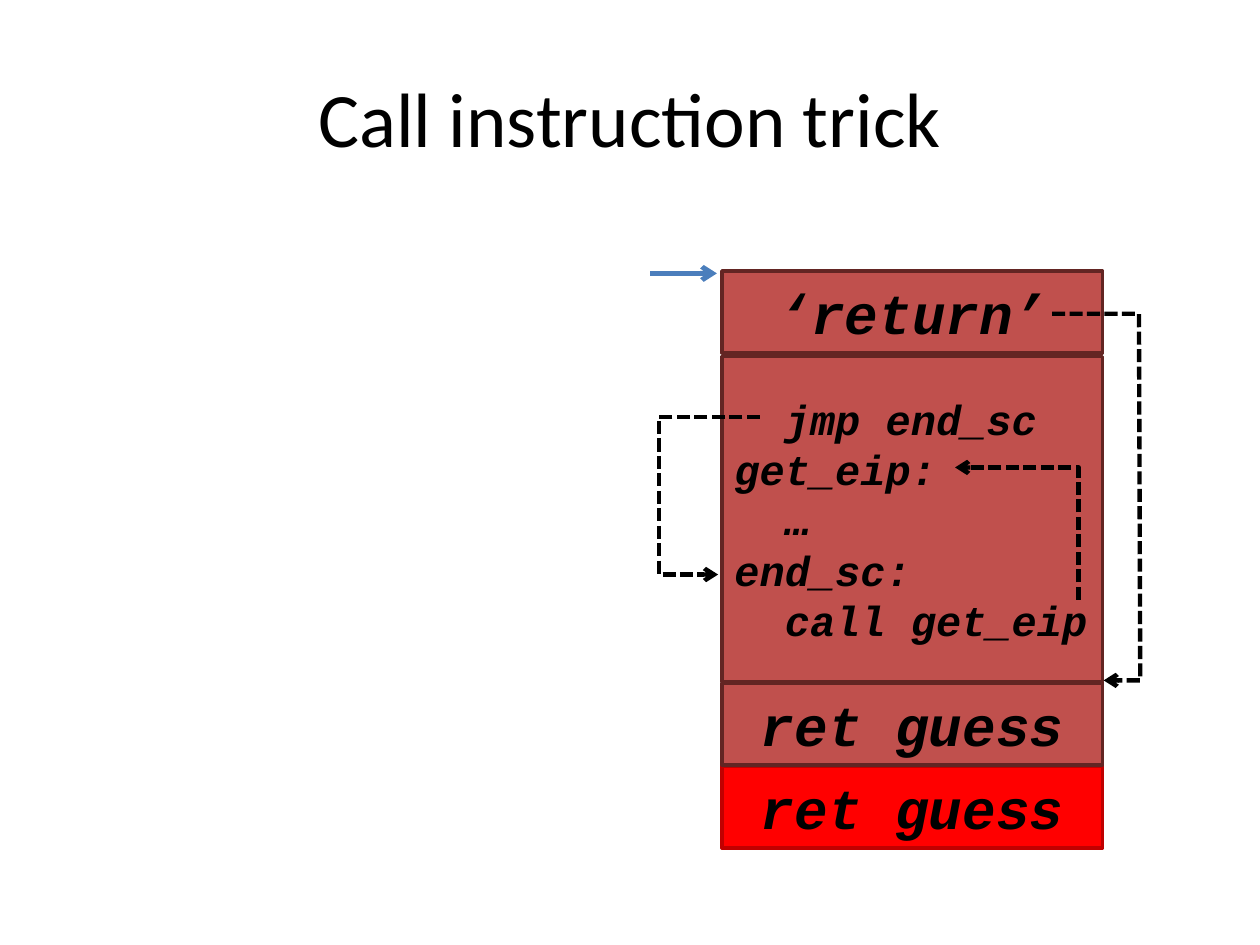
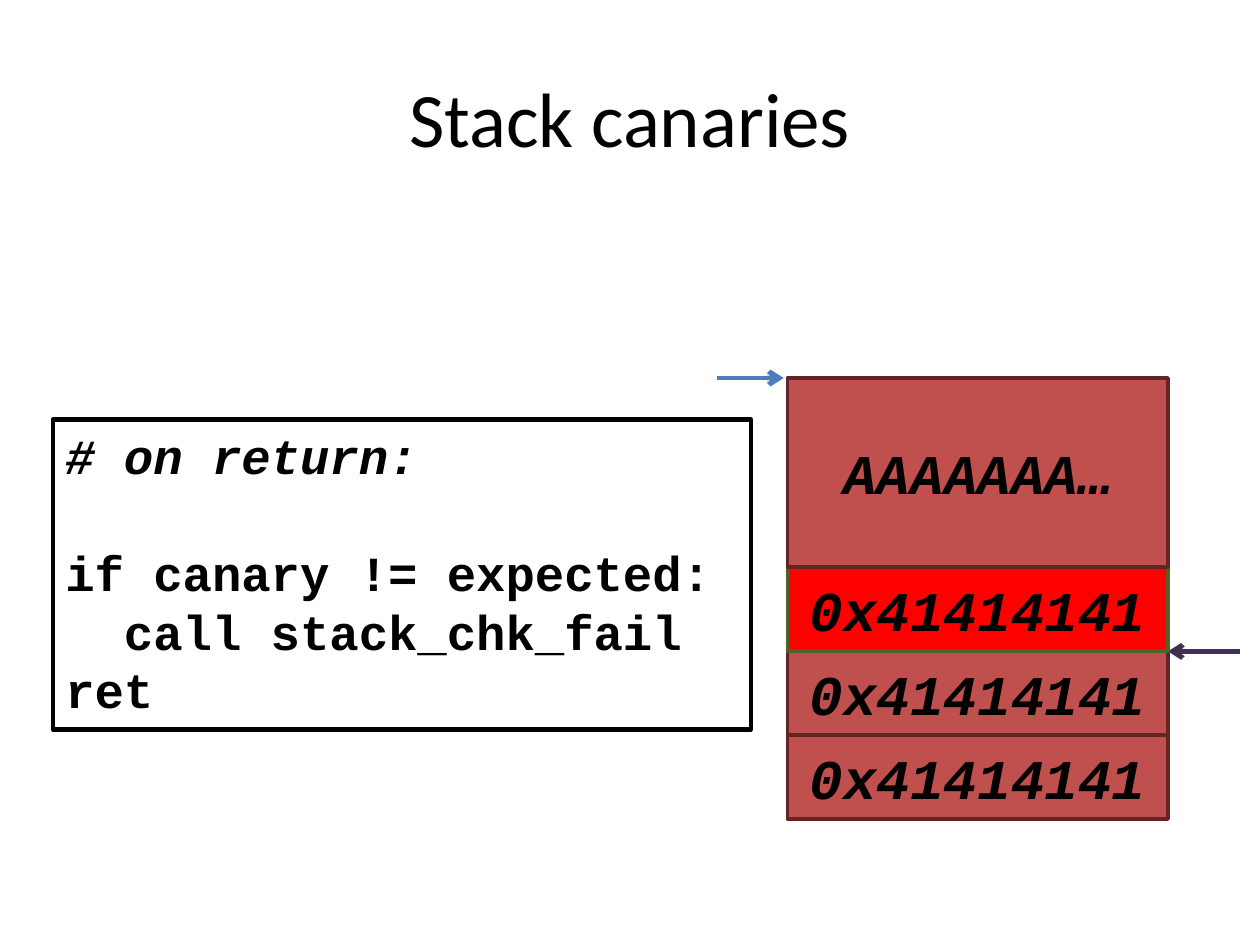
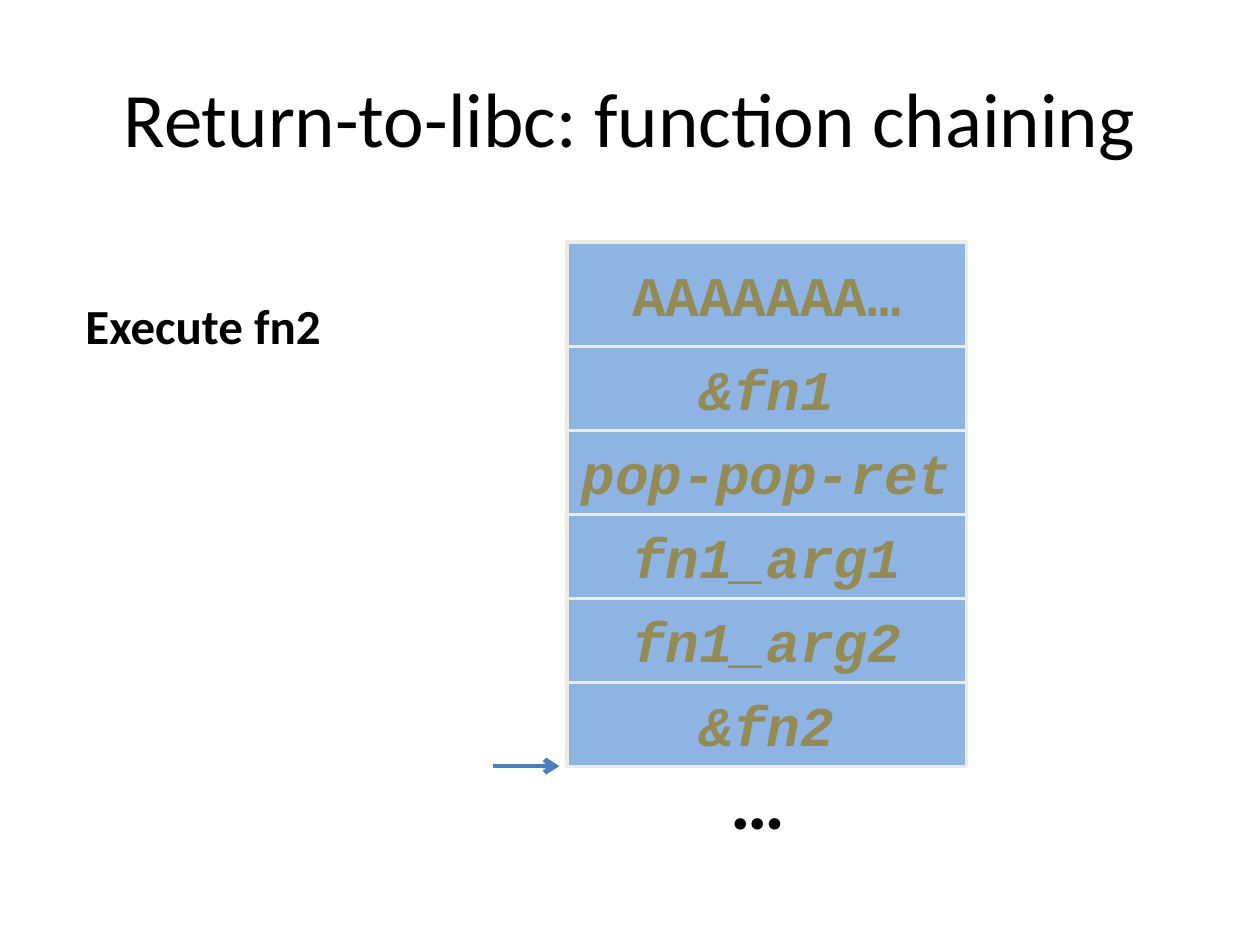
import dataclasses

import lxml.etree
import pptx
import pptx.dml.color
import pptx.enum.dml
import pptx.enum.shapes
import pptx.enum.text
import pptx.oxml.ns
import pptx.presentation
import pptx.slide
import pptx.text.text
import pptx.util

Inches = pptx.util.Inches
ALIGN = pptx.enum.text.PP_ALIGN
ANCHOR = pptx.enum.text.MSO_ANCHOR

# Shared look
BODY_FONT = "Calibri"
CODE_FONT = "Courier New"
BLACK = "000000"
WHITE = "FFFFFF"
POINTER_BLUE = "4B7EBC"
POINTER_PURPLE = "403152"
ROW = 2 / 3  # height of one stack word, in inches


@dataclasses.dataclass(frozen=True)
class Palette:
    fill: str
    line: str
    text: str = BLACK


OVERWRITTEN = Palette("C0504D", "632523")
RETURN_ADDRESS = Palette("FF0000", "C00000")
CANARY = Palette("FF0000", "4F6228")
CHAINED = Palette("8EB4E3", "EEECE1", "948A54")


@dataclasses.dataclass(frozen=True)
class TextStyle:
    size: float
    font: str = BODY_FONT
    color: str = BLACK
    bold: bool = True
    italic: bool = False
    align: ALIGN = ALIGN.LEFT
    anchor: ANCHOR = ANCHOR.TOP
    wrap: bool = True


TITLE = TextStyle(44, bold=False, align=ALIGN.CENTER, anchor=ANCHOR.MIDDLE)
ELLIPSIS = TextStyle(44, wrap=False)
CAPTION = TextStyle(28)
LISTING = TextStyle(28, CODE_FONT)
STACK_WORD = TextStyle(32, CODE_FONT, italic=True, align=ALIGN.CENTER,
                       anchor=ANCHOR.MIDDLE)
SHELLCODE = dataclasses.replace(STACK_WORD, size=24, align=ALIGN.LEFT)


@dataclasses.dataclass(frozen=True)
class Box:
    left: float
    top: float
    width: float
    height: float

    def lengths(self) -> list[pptx.util.Length]:
        return [Inches(value) for value in dataclasses.astuple(self)]


@dataclasses.dataclass(frozen=True)
class Cell:
    text: str
    top: float
    height: float
    palette: Palette
    style: TextStyle = STACK_WORD


@dataclasses.dataclass(frozen=True)
class Pointer:
    start: float
    end: float
    y: float
    color: str = POINTER_BLUE


def rgb(color: str) -> pptx.dml.color.RGBColor:
    return pptx.dml.color.RGBColor.from_string(color)


def write_text(frame: pptx.text.text.TextFrame, text: str, style: TextStyle) -> None:
    frame.text = text
    frame.word_wrap = style.wrap
    frame.vertical_anchor = style.anchor
    for paragraph in frame.paragraphs:
        paragraph.alignment = style.align
        for run in paragraph.runs:
            run.font.name = style.font
            run.font.size = pptx.util.Pt(style.size)
            run.font.bold = style.bold
            run.font.italic = style.italic
            run.font.color.rgb = rgb(style.color)


def add_text(slide: pptx.slide.Slide, text: str, box: Box, style: TextStyle) -> None:
    write_text(slide.shapes.add_textbox(*box.lengths()).text_frame, text, style)


def add_box(slide: pptx.slide.Slide, text: str, box: Box, palette: Palette,
            style: TextStyle, line_width: float = 2) -> pptx.text.text.TextFrame:
    shape = slide.shapes.add_shape(
        pptx.enum.shapes.MSO_SHAPE.RECTANGLE, *box.lengths())
    shape.shadow.inherit = False
    shape.fill.solid()
    shape.fill.fore_color.rgb = rgb(palette.fill)
    shape.line.color.rgb = rgb(palette.line)
    shape.line.width = pptx.util.Pt(line_width)
    write_text(shape.text_frame, text,
               dataclasses.replace(style, color=palette.text))
    return shape.text_frame


def add_stack(slide: pptx.slide.Slide, left: float, width: float,
              cells: list[Cell]) -> None:
    """Draw from the bottom up, so each upper border lies on top."""
    for cell in reversed(cells):
        add_box(slide, cell.text, Box(left, cell.top, width, cell.height),
                cell.palette, cell.style)


def style_arrow(shape, color: str, width: float) -> None:
    shape.line.color.rgb = rgb(color)
    shape.line.width = pptx.util.Pt(width)
    line = shape.line._get_or_add_ln()
    lxml.etree.SubElement(line, pptx.oxml.ns.qn("a:tailEnd"), type="arrow")


def add_pointer(slide: pptx.slide.Slide, pointer: Pointer) -> None:
    y = Inches(pointer.y)
    connector = slide.shapes.add_connector(
        pptx.enum.shapes.MSO_CONNECTOR.STRAIGHT,
        Inches(pointer.start), y, Inches(pointer.end), y)
    style_arrow(connector, pointer.color, 2.75)
    lxml.etree.SubElement(connector._element.spPr, pptx.oxml.ns.qn("a:effectLst"))


def add_jump(slide: pptx.slide.Slide, points: list[tuple[float, float]]) -> None:
    """Draw a dashed control-flow arrow through the points."""
    corners = [(Inches(x), Inches(y)) for x, y in points]
    builder = slide.shapes.build_freeform(*corners[0])
    builder.add_line_segments(corners[1:], close=False)
    shape = builder.convert_to_shape()
    shape.shadow.inherit = False
    shape.fill.background()
    shape.line.dash_style = pptx.enum.dml.MSO_LINE.SQUARE_DOT
    style_arrow(shape, BLACK, 2.5)


def add_slide(presentation: pptx.presentation.Presentation,
              title: str) -> pptx.slide.Slide:
    slide = presentation.slides.add_slide(presentation.slide_layouts[6])
    add_text(slide, title, Box(0.5, 0.3, 9, 1.25), TITLE)
    return slide


def build_call_trick(presentation: pptx.presentation.Presentation) -> None:
    slide = add_slide(presentation, "Call instruction trick")
    shellcode = "\n".join([
        "  jmp end_sc",
        "get_eip:",
        "  …",
        "end_sc:",
        "  call get_eip",
    ])
    add_stack(slide, 5.73, 3.02, [
        Cell("‘return’", 2.15, 0.65, OVERWRITTEN),
        Cell(shellcode, 2.83, 2.58, OVERWRITTEN, SHELLCODE),
        Cell("ret guess", 5.42, 0.65, OVERWRITTEN),
        Cell("ret guess", 6.08, 0.65, RETURN_ADDRESS),
    ])
    add_pointer(slide, Pointer(5.16, 5.69, 2.17))
    # Jump to the end, call back, and return past the shellcode
    add_jump(slide, [(6.03, 3.31), (5.23, 3.31), (5.23, 4.56), (5.7, 4.56)])
    add_jump(slide, [(8.56, 4.76), (8.56, 3.71), (7.58, 3.71)])
    add_jump(slide, [(8.35, 2.49), (9.04, 2.49), (9.05, 5.4), (8.76, 5.4)])


def build_canaries(presentation: pptx.presentation.Presentation) -> None:
    slide = add_slide(presentation, "Stack canaries")
    add_pointer(slide, Pointer(5.69, 6.22, 3))
    add_pointer(slide, Pointer(9.84, 9.27, 5.17, POINTER_PURPLE))
    words = [
        Cell("0x41414141", 4.5 + index * ROW, ROW, palette)
        for index, palette in enumerate([CANARY, OVERWRITTEN, OVERWRITTEN])
    ]
    add_stack(slide, 6.25, 3.02,
              [Cell("AAAAAAA…", 3, 1.5, OVERWRITTEN), *words])

    # Check made before returning
    check = "\n".join([
        "# on return:",
        "if canary != expected:",
        "  call stack_chk_fail",
        "ret",
    ])
    frame = add_box(slide, check, Box(0.42, 3.33, 5.54, 2.46),
                    Palette(WHITE, BLACK), LISTING, 2.5)
    comment, condition = frame.paragraphs[:2]
    comment.runs[0].font.italic = True
    condition.space_before = pptx.util.Pt(33)


def build_chaining(presentation: pptx.presentation.Presentation) -> None:
    slide = add_slide(presentation, "Return-to-libc: function chaining")
    names = ["&fn1", "pop-pop-ret", "fn1_arg1", "fn1_arg2", "&fn2"]
    words = [Cell(name, 2.75 + index * ROW, ROW, CHAINED)
             for index, name in enumerate(names)]
    padding = Cell("AAAAAAA…", 1.92, 0.83, CHAINED,
                   dataclasses.replace(STACK_WORD, italic=False))
    add_stack(slide, 4.5, 3.17, [padding, *words])
    add_text(slide, "…", Box(5.7, 5.92, 0.74, 0.84), ELLIPSIS)
    add_pointer(slide, Pointer(3.91, 4.44, 6.08))
    add_text(slide, "Execute fn2", Box(0.58, 2.3, 2.33, 0.57), CAPTION)


def main() -> None:
    presentation = pptx.Presentation()
    presentation.slide_width = Inches(10)
    presentation.slide_height = Inches(7.5)
    build_call_trick(presentation)
    build_canaries(presentation)
    build_chaining(presentation)
    presentation.save("out.pptx")


if __name__ == "__main__":
    main()
